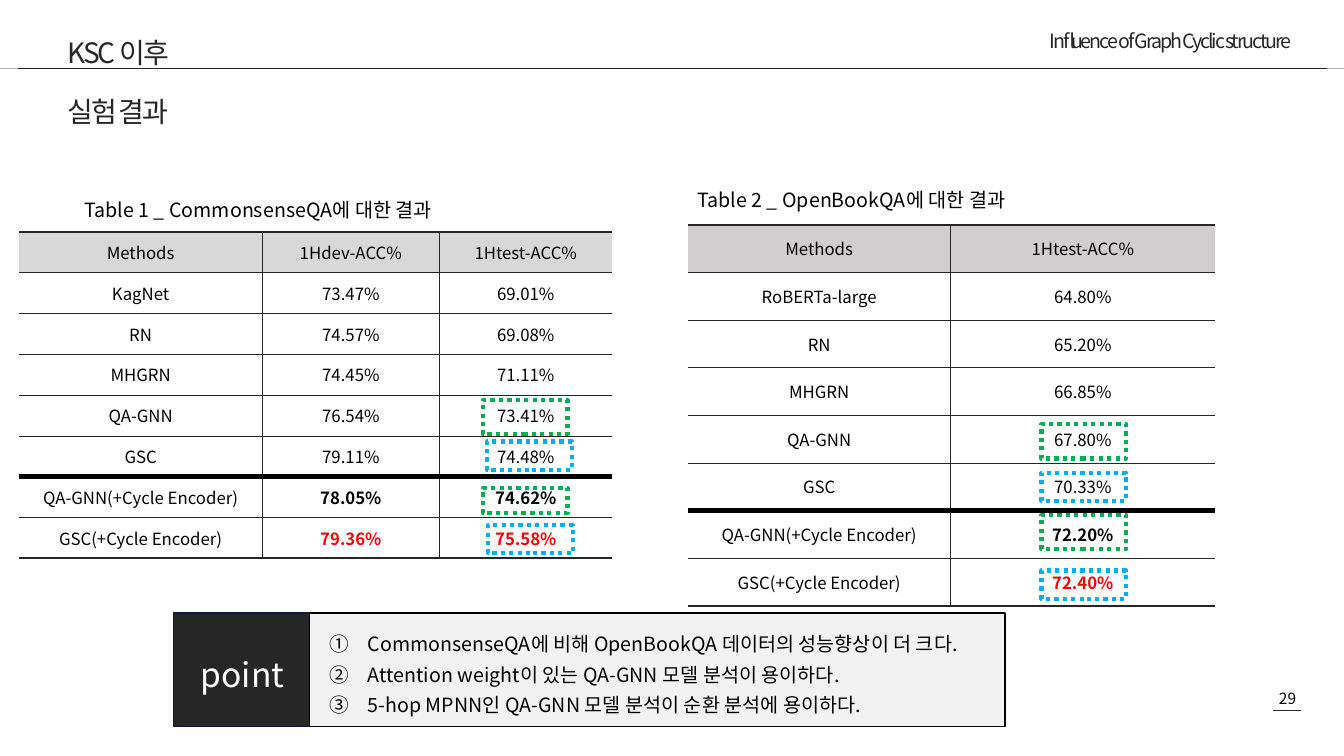
import pptx
import pptx.util
import pptx.dml.color
import pptx.enum.dml
import pptx.enum.shapes
import pptx.enum.text
import pptx.oxml
import pptx.oxml.ns

ALIGN = pptx.enum.text.PP_ALIGN
ANCHOR = pptx.enum.text.MSO_ANCHOR
SHAPES = pptx.enum.shapes.MSO_SHAPE
NAMESPACE = pptx.oxml.ns.nsdecls("a")
INK, BLACK, WHITE, RED = "262626", "000000", "FFFFFF", "FF0000"
GREEN, BLUE = "00B050", "00B0F0"


def px(length):
    return pptx.util.Emu(length * 9144)


def colour(code):
    return pptx.dml.color.RGBColor.from_string(code)


def element(markup):
    return pptx.oxml.parse_xml(markup.replace(" @", f" {NAMESPACE} ", 1))


class SlideBuilder:
    face = "Noto Sans CJK KR"
    thin, edge, divider = (INK, 0.5), (INK, 1.5), (BLACK, 4.5)

    def __init__(self, page):
        self.page = page

    def add_words(self, para, words, size, code, spacing=0, bold=False, **para_format):
        for name, value in para_format.items():
            setattr(para, name, value)
        span = para.add_run()
        span.text = words
        span_format = {"name": self.face, "size": pptx.util.Pt(size), "bold": bold}
        for name, value in span_format.items():
            setattr(span.font, name, value)
        span.font.color.rgb = colour(code)
        properties = span.font._element
        properties.append(element(f'<a:ea @typeface="{self.face}"/>'))
        if spacing:
            properties.set("spc", str(spacing))

    def text(self, place, lines, size, code=BLACK, anchor=ANCHOR.TOP, numbered=False, **style):
        box = self.page.shapes.add_textbox(*map(px, place))
        frame = box.text_frame
        frame.word_wrap = True
        frame.vertical_anchor = anchor
        for index, words in enumerate(lines):
            para = frame.add_paragraph() if index else frame.paragraphs[0]
            if numbered:
                properties = para._p.get_or_add_pPr()
                properties.set("marL", str(px(47)))
                properties.set("indent", str(px(-38)))
                properties.append(element('<a:buFont @typeface="+mj-ea"/>'))
                properties.append(element('<a:buAutoNum @type="circleNumDbPlain"/>'))
            self.add_words(para, words, size, code, **style)

    def rectangle(self, place, fill=None, line=None, width=1, dash=None):
        box = self.page.shapes.add_shape(SHAPES.RECTANGLE, *map(px, place))
        box.shadow.inherit = False
        if fill:
            box.fill.solid()
            box.fill.fore_color.rgb = colour(fill)
        else:
            box.fill.background()
        if line:
            box.line.color.rgb = colour(line)
            box.line.width = pptx.util.Pt(width)
            box.line.dash_style = dash
        else:
            box.line.fill.background()
        return box

    def rule(self, left, right, top):
        line = self.page.shapes.add_connector(
            pptx.enum.shapes.MSO_CONNECTOR.STRAIGHT, *map(px, (left, top, right, top)))
        line.line.color.rgb = colour(INK)
        line.line.width = pptx.util.Pt(0.5)
        line._element.spPr.append(element("<a:effectLst @/>"))

    def border(self, cell, side, stroke):
        if stroke:
            code, width = stroke
            markup = (f'<a:ln{side} @w="{pptx.util.Pt(width)}"><a:solidFill>'
                      f'<a:srgbClr val="{code}"/></a:solidFill></a:ln{side}>')
        else:
            markup = f'<a:ln{side} @w="0"><a:noFill/></a:ln{side}>'
        cell._tc.get_or_add_tcPr().append(element(markup))

    def table(self, left, top, widths, height, header_fill, rows):
        count = len(rows)
        strokes = [self.edge] + [self.thin] * (count - 1) + [self.edge]
        strokes[count - 2] = self.divider
        grid = self.page.shapes.add_table(
            count, len(widths), *map(px, (left, top, sum(widths), height))).table
        grid.first_row = grid.horz_banding = False
        for column, width in zip(grid.columns, widths):
            column.width = px(width)
        last = len(widths) - 1
        for row, values in enumerate(rows):
            grid.rows[row].height = px(height) // count
            for column, words in enumerate(values):
                cell = grid.cell(row, column)
                cell.vertical_anchor = ANCHOR.MIDDLE
                self.border(cell, "L", self.thin if column else None)
                self.border(cell, "R", self.thin if column < last else None)
                self.border(cell, "T", strokes[row])
                self.border(cell, "B", strokes[row + 1])
                if row:
                    cell.fill.background()
                else:
                    cell.fill.solid()
                    cell.fill.fore_color.rgb = colour(header_fill)
                best = column > 0 and row == count - 1
                self.add_words(cell.text_frame.paragraphs[0], words, 12,
                               RED if best else BLACK, alignment=ALIGN.CENTER,
                               bold=column > 0 and row >= count - 2)

    def highlight(self, left, top, height, code):
        self.rectangle((left, top, 84, height), line=code, width=3,
                       dash=pptx.enum.dml.MSO_LINE.ROUND_DOT)


def main():
    deck = pptx.Presentation()
    deck.slide_width, deck.slide_height = px(1333), px(750)
    page = deck.slides.add_slide(deck.slide_layouts[6])
    slide = SlideBuilder(page)

    slide.text((1243, 679, 68, 29), ["29"], 11, alignment=ALIGN.CENTER)
    slide.rule(1263, 1290, 705)
    slide.text((716, 24, 575, 38), ["Influence of Graph Cyclic structure"], 14, INK,
               spacing=-150, alignment=ALIGN.RIGHT)
    slide.rectangle((0, 68, 1333, 0), fill=INK)
    slide.rule(18, 1316, 68)
    for top, title in ((13, "KSC 이후"), (71, "실험 결과")):
        slide.text((57, top, 610, 68), [title], 20, INK, ANCHOR.MIDDLE,
                   spacing=-150, line_spacing=1.3)
    for left, top, caption in ((74, 180, "Table 1 _ CommonsenseQA에 대한 결과"),
                               (682, 170, "Table 2 _ OpenBookQA에 대한 결과")):
        slide.text((left, top, 577, 42), [caption], 14, line_spacing=1.5)

    slide.table(19, 230, (241, 176, 171), 324, "D8D8D8", [
        ("Methods", "1Hdev-ACC%", "1Htest-ACC%"),
        ("KagNet", "73.47%", "69.01%"),
        ("RN", "74.57%", "69.08%"),
        ("MHGRN", "74.45%", "71.11%"),
        ("QA-GNN", "76.54%", "73.41%"),
        ("GSC", "79.11%", "74.48%"),
        ("QA-GNN(+Cycle Encoder)", "78.05%", "74.62%"),
        ("GSC(+Cycle Encoder)", "79.36%", "75.58%"),
    ])
    slide.table(682, 223, (261, 262), 378, "D0CECE", [
        ("Methods", "1Htest-ACC%"),
        ("RoBERTa-large", "64.80%"),
        ("RN", "65.20%"),
        ("MHGRN", "66.85%"),
        ("QA-GNN", "67.80%"),
        ("GSC", "70.33%"),
        ("QA-GNN(+Cycle Encoder)", "72.20%"),
        ("GSC(+Cycle Encoder)", "72.40%"),
    ])
    for mark in ((479, 397, 34, GREEN), (479, 484, 25, GREEN),
                 (483, 438, 28, BLUE), (484, 521, 28, BLUE),
                 (1033, 421, 34, GREEN), (1033, 511, 34, GREEN),
                 (1033, 566, 28, BLUE), (1033, 469, 28, BLUE)):
        slide.highlight(*mark)

    label = slide.rectangle((172, 608, 137, 113), INK, "0F1642")
    label.text_frame.vertical_anchor = ANCHOR.MIDDLE
    slide.add_words(label.text_frame.paragraphs[0], "point", 24, WHITE,
                    alignment=ALIGN.CENTER, line_spacing=1.2)
    slide.rectangle((307, 608, 690, 113), "F2F2F2", BLACK)
    slide.text((308, 615, 690, 99), [
        "CommonsenseQA에 비해 OpenBookQA 데이터의 성능향상이 더 크다.",
        "Attention weight이 있는 QA-GNN 모델 분석이 용이하다.",
        "5-hop MPNN인 QA-GNN 모델 분석이 순환 분석에 용이하다.",
    ], 14, numbered=True, line_spacing=1.3)

    deck.save("out.pptx")


if __name__ == "__main__":
    main()
